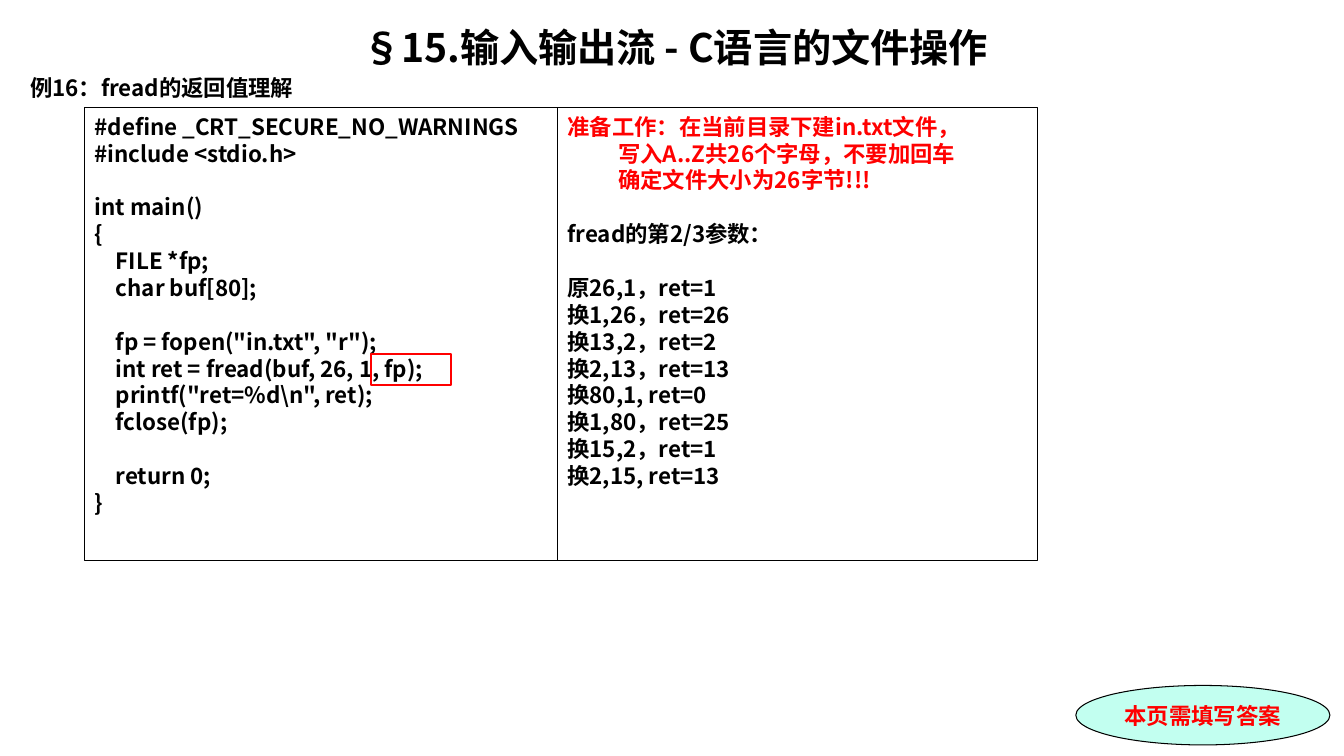
import pptx
import pptx.util
import pptx.dml.color
import pptx.enum.shapes
import pptx.enum.text
import pptx.oxml.ns
import lxml.etree

HUES = {"ink": "000000", "red": "FF0000", "mint": "C2FFF0"}
SANS = "Noto Sans CJK SC"
SERIF = "Times New Roman"
CELL = pptx.util.Inches(0.1)
SIZE = 16
PITCH = 1.2
STEP = 0.21
KINDS = pptx.enum.shapes.MSO_SHAPE
ALIGN = pptx.enum.text.PP_ALIGN
ANCHOR = pptx.enum.text.MSO_ANCHOR

CODE = [
    [(0, "#define _CRT_SECURE_NO_WARNINGS"), (0, "#include <stdio.h>")],
    [(0, "int main()"), (0, "{"), (1, "FILE *fp;"), (1, "char buf[80];")],
    [
        (1, 'fp = fopen("in.txt", "r");'),
        (1, "int ret = fread(buf, 26, 1, fp);"),
        (1, 'printf("ret=%d\\n", ret);'),
        (1, "fclose(fp);"),
    ],
    [(1, "return 0;"), (0, "}")],
]
SETUP = [
    (0, "准备工作：在当前目录下建in.txt文件，"),
    (2.4, "写入A..Z共26个字母，不要加回车"),
    (2.4, "确定文件大小为26字节!!!"),
]
CASES = [
    "原26,1，ret=1",
    "换1,26，ret=26",
    "换13,2，ret=2",
    "换2,13，ret=13",
    "换80,1, ret=0",
    "换1,80，ret=25",
    "换15,2，ret=1",
    "换2,15, ret=13",
]
NOTES = [SETUP, [(0, "fread的第2/3参数：")], [(0, case) for case in CASES]]


def tint(hue):
    return pptx.dml.color.RGBColor.from_string(HUES[hue])


def place(cells):
    return [round(cell * CELL) for cell in cells]


def write(frame, text, hue="ink", size=SIZE, face=SANS, align=ALIGN.LEFT, gap=0, dent=0):
    first = frame.paragraphs[0]
    para = first if not first.runs else frame.add_paragraph()
    para.text = text
    para.alignment = align
    para.line_spacing = pptx.util.Pt(size * PITCH)
    para.space_before = pptx.util.Pt(gap)
    font = para.font
    font.name, font.size, font.bold = face, pptx.util.Pt(size), True
    font.color.rgb = tint(hue)
    props = para._p.get_or_add_pPr()
    props.set("marL", str(pptx.util.Inches(dent * STEP)))
    props.set("indent", "0")
    name = pptx.oxml.ns.qn
    latin = props.find(name("a:defRPr")).find(name("a:latin"))
    east = lxml.etree.Element(name("a:ea"), typeface=SANS)
    latin.addnext(east)


def shape(slide, kind, cells, line="ink", width=0.75, fill=None):
    item = slide.shapes.add_shape(kind, *place(cells))
    item.shadow.inherit = False
    item.line.color.rgb = tint(line)
    item.line.width = pptx.util.Pt(width)
    if fill:
        item.fill.solid()
        item.fill.fore_color.rgb = tint(fill)
    else:
        item.fill.background()
    return item


def panel(slide, cells, groups, hues):
    frame = shape(slide, KINDS.RECTANGLE, cells).text_frame
    frame.word_wrap = True
    frame.vertical_anchor = ANCHOR.TOP
    for order, (group, hue) in enumerate(zip(groups, hues)):
        for row, (dent, text) in enumerate(group):
            gap = SIZE * PITCH if order and not row else 0
            write(frame, text, hue, gap=gap, dent=dent)


def head(slide):
    frame = slide.shapes.add_textbox(*place((2, 1.8, 129.9, 8.5))).text_frame
    frame.word_wrap = True
    write(frame, "§15.输入输出流 - C语言的文件操作", size=28, align=ALIGN.CENTER)
    write(frame, "例16：fread的返回值理解", gap=SIZE * 0.2)


def badge(slide):
    frame = shape(slide, KINDS.OVAL, (106.7, 68, 25.2, 5.9), fill="mint").text_frame
    frame.word_wrap = True
    frame.vertical_anchor = ANCHOR.MIDDLE
    write(frame, "本页需填写答案", "red", face=SERIF, align=ALIGN.CENTER)


def main():
    deck = pptx.Presentation()
    deck.slide_width = pptx.util.Inches(13.33)
    deck.slide_height = pptx.util.Inches(7.5)
    slide = deck.slides.add_slide(deck.slide_layouts[6])
    head(slide)
    panel(slide, (8.4, 10.7, 46.9, 44.9), CODE, ["ink"] * len(CODE))
    panel(slide, (55.3, 10.7, 47.6, 44.9), NOTES, ["red", "ink", "ink"])
    shape(slide, KINDS.RECTANGLE, (36.8, 35.1, 7.9, 3.1), "red", 1.5)
    badge(slide)
    deck.save("out.pptx")


if __name__ == "__main__":
    main()
